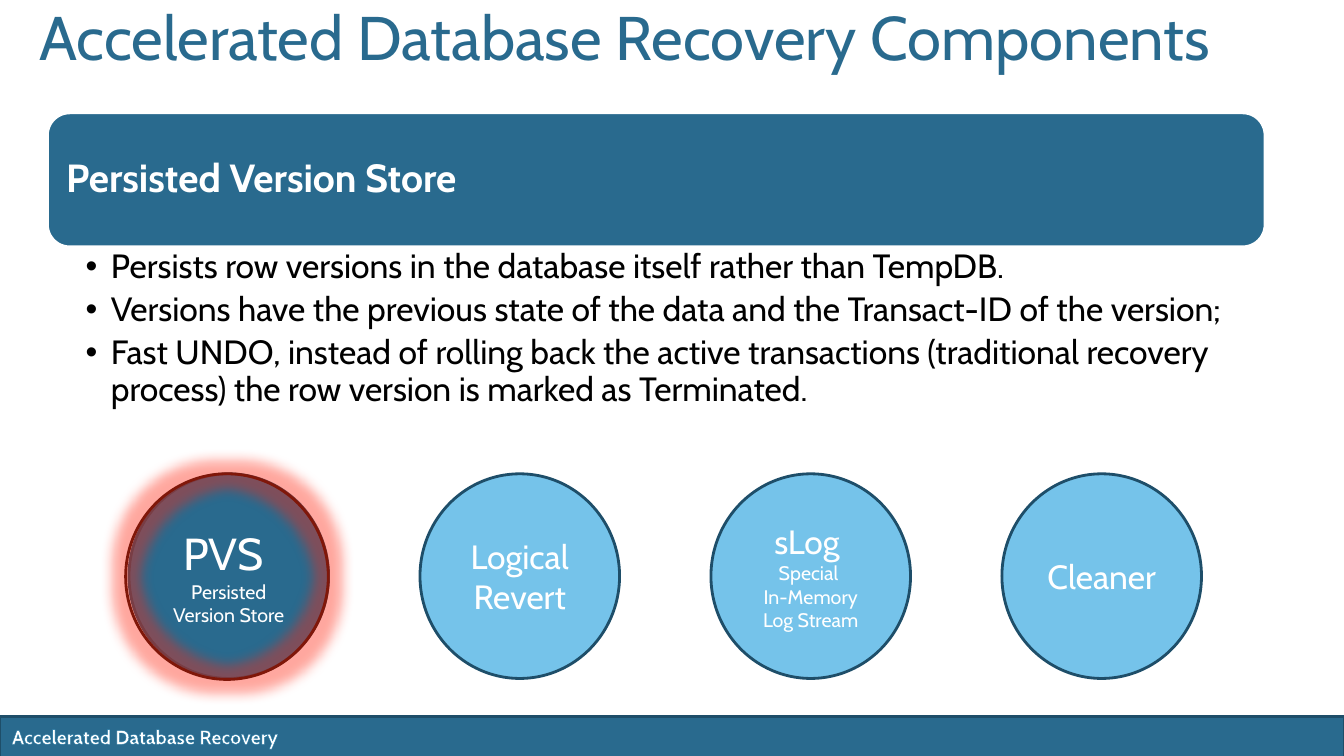
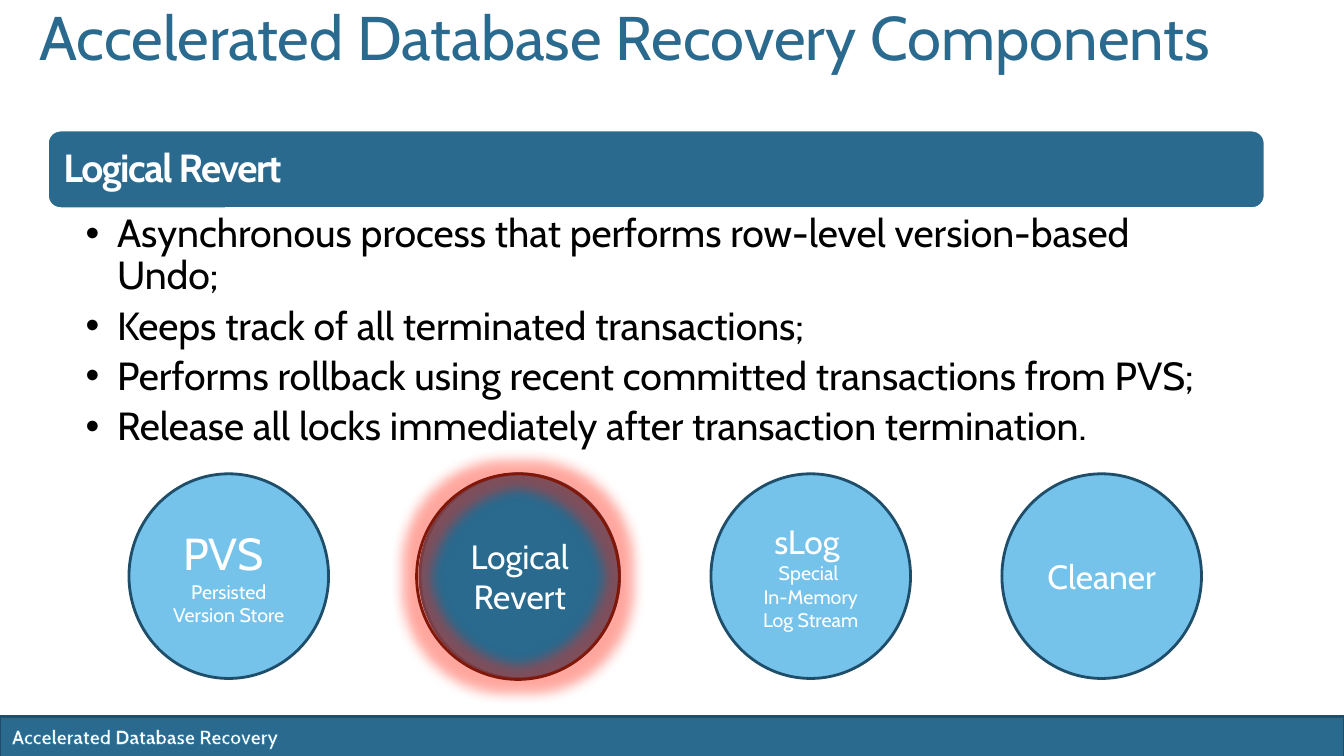
"""Build two slides on the components of accelerated database recovery."""
from lxml.etree import SubElement
from pptx import Presentation
from pptx.dml.color import RGBColor
from pptx.enum.shapes import MSO_SHAPE
from pptx.enum.text import MSO_ANCHOR, MSO_AUTO_SIZE, PP_ALIGN
from pptx.oxml import parse_xml
from pptx.oxml.ns import nsdecls, qn
from pptx.util import Inches, Pt

DEEP_BLUE = RGBColor(0x29, 0x6A, 0x8E)
SKY_BLUE = RGBColor(0x75, 0xC3, 0xEA)
EDGE_BLUE = RGBColor(0x1E, 0x4E, 0x69)
LETTER_EDGE = RGBColor(0x18, 0x72, 0xA0)
RING_RED = RGBColor(0x80, 0x17, 0x09)
GLOW_RED = RGBColor(0xFF, 0x25, 0x0F)
WHITE = RGBColor(0xFF, 0xFF, 0xFF)
BLACK = RGBColor(0x00, 0x00, 0x00)

FONT = "Cabin"
TITLE = "Accelerated Database Recovery Components"
FOOTER = "Accelerated Database Recovery"
CELLS = 100
CIRCLE_LEFT, CIRCLE_TOP, CIRCLE_PITCH = 9.6, 62.67, 21.65
CIRCLE_SIZE = (14.85, 27.07)
RING_SIZE = (15.08, 27.2)
PANEL_LEFT, PANEL_WIDTH = 3.53, 90.6

COMPONENTS = [
    [("PVS ", 32), ("Persisted Version Store", 14)],
    [("Logical Revert", 24)],
    [("sLog ", 24), ("Special ", 14), ("In-Memory Log Stream", 14)],
    [("Cleaner", 24)],
]

PAGES = [
    {
        "heading": "Persisted Version Store",
        "tracking": 0,
        "top": 14.93,
        "height": 17.73,
        "body_height": 25.07,
        "size": 24,
        "indent": 1.87,
        "insets": (2.85, 0.4, 1.43),
        "points": [
            "Persists row versions in the database itself rather than TempDB.",
            "Versions have the previous state of the data and the Transact-ID of the version;",
            "Fast UNDO, instead of rolling back the active transactions (traditional "
            "recovery process) the row version is marked as Terminated.",
        ],
    },
    {
        "heading": "Logical Revert",
        "tracking": -100,
        "top": 17.2,
        "height": 10.4,
        "body_height": 30.4,
        "size": 28,
        "indent": 2.33,
        "insets": (2.85, 0.67, 2.1),
        "points": [
            "Asynchronous process that performs row-level version-based Undo;",
            "Keeps track of all terminated transactions;",
            "Performs rollback using recent committed transactions from PVS;",
            "Release all locks immediately after transaction termination.",
        ],
    },
]


def apply(target, values):
    for name, value in values.items():
        setattr(target, name, value)


class RecoveryDeck:
    def __init__(self):
        self.deck = Presentation()
        apply(self.deck, {"slide_width": Inches(13.33), "slide_height": Inches(7.5)})
        self.layout = self.deck.slide_layouts[1]
        self.page = None

    def across(self, columns):
        return int(self.deck.slide_width * columns / CELLS)

    def down(self, rows):
        return int(self.deck.slide_height * rows / CELLS)

    def area(self, left, top, width, height):
        return {
            "left": self.across(left),
            "top": self.down(top),
            "width": self.across(width),
            "height": self.down(height),
        }

    def start_page(self):
        first = self.page is None
        self.page = self.deck.slides.add_slide(self.layout)
        if first:
            self.share_footer()

    def share_footer(self):
        band = self.shape(MSO_SHAPE.RECTANGLE, (0, 94.8, 100, 5.33), DEEP_BLUE, EDGE_BLUE)
        box = self.page.shapes.add_textbox(**self.area(0.15, 95.2, 45.45, 4.53))
        self.frame(box, {"auto_size": MSO_AUTO_SIZE.SHAPE_TO_FIT_TEXT})
        para = self.paragraph(box.text_frame, 0, {})
        span = self.span(para, FOOTER, 14, WHITE, bold=True)
        edge = parse_xml(
            f'<a:ln {nsdecls("a")} w="{Pt(0.8)}"><a:solidFill>'
            f'<a:srgbClr val="{LETTER_EDGE}"/></a:solidFill></a:ln>'
        )
        span.font.fill
        span.font.color.rgb = WHITE
        span._r.get_or_add_rPr().insert(0, edge)
        for number, item in enumerate((band, box), start=20):
            item.element.nvSpPr.cNvPr.set("id", str(number))
            self.layout.shapes.element.append(item.element)

    def shape(self, kind, cells, fill, line):
        shape = self.page.shapes.add_shape(kind, **self.area(*cells))
        shape.shadow.inherit = False
        if fill is None:
            shape.fill.background()
        else:
            shape.fill.solid()
            shape.fill.fore_color.rgb = fill
        shape.line.color.rgb = line
        shape.line.width = Pt(2)
        return shape

    def frame(self, shape, values):
        base = {"word_wrap": True, "auto_size": MSO_AUTO_SIZE.NONE}
        apply(shape.text_frame, {**base, **values})
        return shape.text_frame

    def paragraph(self, frame, index, values):
        para = frame.add_paragraph() if index else frame.paragraphs[0]
        apply(para, {"alignment": PP_ALIGN.LEFT, "space_before": Pt(0), **values})
        return para

    def span(self, para, text, size, color, bold=False):
        span = para.add_run()
        span.text = text
        apply(span.font, {"name": FONT, "size": Pt(size), "bold": bold})
        span.font.color.rgb = color
        return span

    def title(self, text):
        title = self.page.shapes.title
        apply(title, self.area(2.18, 2.53, 93.23, 16.67))
        frame = self.frame(title, {"vertical_anchor": MSO_ANCHOR.TOP})
        para = self.paragraph(frame, 0, {"line_spacing": Pt(35)})
        self.span(para, text, 44, DEEP_BLUE)

    def heading(self, text, top, height, tracking):
        cells = (PANEL_LEFT, top, PANEL_WIDTH, height)
        panel = self.shape(MSO_SHAPE.ROUNDED_RECTANGLE, cells, DEEP_BLUE, WHITE)
        margins = {f"margin_{side}": Inches(0.12) for side in ("left", "top", "right", "bottom")}
        frame = self.frame(panel, {"vertical_anchor": MSO_ANCHOR.MIDDLE, **margins})
        para = self.paragraph(frame, 0, {"line_spacing": 0.9})
        span = self.span(para, text, 28, WHITE, bold=True)
        if tracking:
            span._r.get_or_add_rPr().set("spc", str(tracking))

    def bullets(self, points, top, height, size, indent, insets):
        body = self.page.placeholders[1]
        apply(body, self.area(PANEL_LEFT, top, PANEL_WIDTH, height))
        left, edge, right = insets
        frame = self.frame(body, {
            "vertical_anchor": MSO_ANCHOR.TOP,
            "margin_left": self.across(left),
            "margin_right": self.across(right),
            "margin_top": self.down(edge),
            "margin_bottom": self.down(edge),
        })
        spacing = {"level": 1, "line_spacing": 0.9, "space_after": Pt(0.2 * size)}
        for index, point in enumerate(points):
            para = self.paragraph(frame, index, spacing)
            self.span(para, point, size, BLACK)
            properties = para._p.get_or_add_pPr()
            properties.set("marL", str(self.across(indent)))
            properties.set("indent", str(-self.across(indent)))
            SubElement(properties, qn("a:buFont")).set("typeface", "Arial")
            SubElement(properties, qn("a:buChar")).set("char", "•")

    def circles(self, active):
        for column, lines in enumerate(COMPONENTS):
            cells = (CIRCLE_LEFT + column * CIRCLE_PITCH, CIRCLE_TOP, *CIRCLE_SIZE)
            fill = DEEP_BLUE if column == active else SKY_BLUE
            circle = self.shape(MSO_SHAPE.OVAL, cells, fill, EDGE_BLUE)
            frame = self.frame(circle, {"vertical_anchor": MSO_ANCHOR.MIDDLE})
            for index, (text, size) in enumerate(lines):
                para = self.paragraph(frame, index, {"alignment": PP_ALIGN.CENTER})
                self.span(para, text, size, WHITE)

    def ring(self, active):
        left = CIRCLE_LEFT + active * CIRCLE_PITCH - 0.25
        ring = self.shape(MSO_SHAPE.OVAL, (left, CIRCLE_TOP, *RING_SIZE), None, RING_RED)
        glow = parse_xml(
            f'<a:glow {nsdecls("a")} rad="{Pt(18)}"><a:srgbClr val="{GLOW_RED}">'
            '<a:alpha val="40000"/></a:srgbClr></a:glow>'
        )
        ring.element.spPr.find(qn("a:effectLst")).append(glow)


def main():
    recovery = RecoveryDeck()
    for active, content in enumerate(PAGES):
        top, height = content["top"], content["height"]
        recovery.start_page()
        recovery.title(TITLE)
        recovery.circles(active)
        recovery.heading(content["heading"], top, height, content["tracking"])
        recovery.bullets(content["points"], top + height, content["body_height"],
                         content["size"], content["indent"], content["insets"])
        recovery.ring(active)
    recovery.deck.save("out.pptx")


if __name__ == "__main__":
    main()
